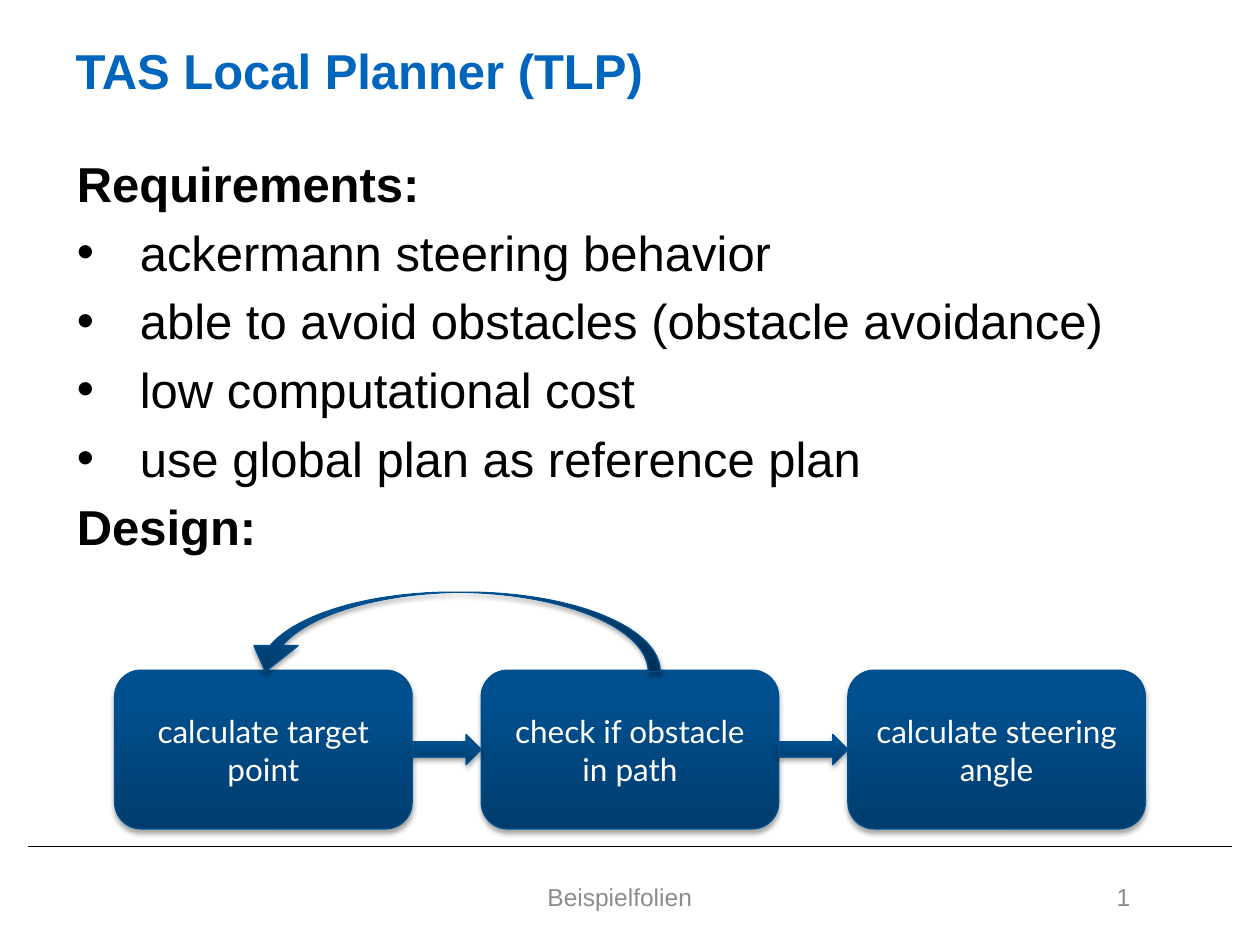
from lxml import etree
from pptx import Presentation
from pptx.dml.color import RGBColor
from pptx.enum import shapes, text
from pptx.oxml import parse_xml
from pptx.oxml.ns import nsdecls, qn
from pptx.util import Pt

GRADIENT = ((0, "003D6E"), (80, "004F8E"), (100, "00508F"))
EDGE = "005090"
STEPS = ("calculate target point", "check if obstacle in path", "calculate steering angle")
REQUIREMENTS = (
    "ackermann steering behavior",
    "able to avoid obstacles (obstacle avoidance)",
    "low computational cost",
    "use global plan as reference plan",
)


def color(hex_code):
    return RGBColor.from_string(hex_code)


def format_text(paragraph, size, hex_code, font="Arial", bold=False, align=text.PP_ALIGN.LEFT):
    paragraph.alignment = align
    for run in paragraph.runs:
        run.font.name, run.font.size, run.font.bold = font, Pt(size), bold
        run.font.color.rgb = color(hex_code)


def place(part, box):
    part.left, part.top, part.width, part.height = (Pt(value) for value in box)


def add_title(slide, box):
    title = slide.shapes.title
    place(title, box)
    frame = title.text_frame
    frame.text = "TAS Local Planner (TLP)"
    frame.auto_size = text.MSO_AUTO_SIZE.NONE
    frame.vertical_anchor = text.MSO_ANCHOR.MIDDLE
    format_text(frame.paragraphs[0], 28, "0065BD", bold=True)


def add_requirements(slide, box):
    body = slide.placeholders[1]
    place(body, box)
    frame = body.text_frame
    frame.text = "\n".join(("Requirements:", *REQUIREMENTS, "Design:"))
    frame.auto_size = text.MSO_AUTO_SIZE.NONE
    for paragraph in frame.paragraphs:
        listed = paragraph.text in REQUIREMENTS
        format_text(paragraph, 28, "000000", bold=not listed)
        indent = Pt(36) if listed else 0
        properties = paragraph._p.get_or_add_pPr()
        properties.set("marL", str(indent))
        properties.set("indent", str(-indent))
        if not listed:
            etree.SubElement(properties, qn("a:buNone"))


def add_block(slide, preset, box):
    """Add a shape with the shared gradient, edge and soft shadow."""
    block = slide.shapes.add_shape(preset, *(Pt(value) for value in box))
    block.line.color.rgb = color(EDGE)
    block.line.width = Pt(0.75)
    stops = "".join(
        f'<a:gs pos="{position * 1000}"><a:srgbClr val="{hex_code}"/></a:gs>'
        for position, hex_code in GRADIENT
    )
    block._element.spPr.find(qn("a:prstGeom")).addnext(parse_xml(
        f'<a:gradFill rotWithShape="0" {nsdecls("a")}><a:gsLst>{stops}</a:gsLst>'
        '<a:lin ang="16200000" scaled="0"/></a:gradFill>'
    ))
    block.shadow.inherit = False
    block._element.spPr.find(qn("a:effectLst")).append(parse_xml(
        f'<a:outerShdw {nsdecls("a")} blurRad="{Pt(3.1)}" dist="{Pt(1.8)}" dir="5400000" '
        'rotWithShape="0"><a:srgbClr val="000000"><a:alpha val="35000"/></a:srgbClr>'
        '</a:outerShdw>'
    ))
    return block


def add_step(slide, box, label):
    step = add_block(slide, shapes.MSO_SHAPE.ROUNDED_RECTANGLE, box)
    frame = step.text_frame
    frame.text = label
    frame.word_wrap = True
    frame.vertical_anchor = text.MSO_ANCHOR.MIDDLE
    format_text(frame.paragraphs[0], 18, "FFFFFF", font="Lato", align=text.PP_ALIGN.CENTER)


def add_design_flow(slide, box):
    left, top, width, height = box
    step_width, arrow_height = 170, 17.3
    gap = (width - len(STEPS) * step_width) / (len(STEPS) - 1)
    lefts = [left + index * (step_width + gap) for index in range(len(STEPS))]

    for step_left, label in zip(lefts, STEPS):
        add_step(slide, (step_left, top, step_width, height), label)

    # Forward arrows fill the gaps
    for step_left in lefts[:-1]:
        add_block(slide, shapes.MSO_SHAPE.RIGHT_ARROW, (
            step_left + step_width, top + (height - arrow_height) / 2, gap, arrow_height))

    # Return arrow from the second step to the first, turned a quarter
    span, rise = 238.3, 45.4
    middle_x, middle_y = 258.1, top + 0.8 - rise / 2
    loop = add_block(slide, shapes.MSO_SHAPE.CURVED_RIGHT_ARROW, (
        middle_x - rise / 2, middle_y - span / 2, rise, span))
    loop.rotation = 90
    for index, value in enumerate((0.15, 0.558, 0.327)):
        loop.adjustments[index] = value


def add_footer_text(slide, box, label, align):
    footer = slide.shapes.add_textbox(*(Pt(value) for value in box))
    frame = footer.text_frame
    frame.text = label
    frame.word_wrap = True
    frame.vertical_anchor = text.MSO_ANCHOR.MIDDLE
    format_text(frame.paragraphs[0], 14, "8C8C8C", align=align)


def add_footer(slide, box):
    left, top, width, height = box
    rule = slide.shapes.add_connector(
        shapes.MSO_CONNECTOR.STRAIGHT, Pt(left), Pt(top), Pt(left + width), Pt(top))
    rule.line.color.rgb = color("000000")
    rule.line.width = Pt(1)
    etree.SubElement(rule._element.spPr, qn("a:effectLst"))

    text_top, text_height = top + 14, height - 14
    add_footer_text(slide, (121.7, text_top, 465, text_height),
                    "Beispielfolien", text.PP_ALIGN.CENTER)
    add_footer_text(slide, (586.7, text_top, 66.3, text_height),
                    "1", text.PP_ALIGN.RIGHT)


def main():
    deck = Presentation()
    deck.slide_width, deck.slide_height = Pt(720), Pt(540)
    slide = deck.slides.add_slide(deck.slide_layouts[1])
    add_footer(slide, (16, 483.8, 688, 43.5))
    add_title(slide, (36, 11.5, 515.5, 57))
    add_requirements(slide, (36.7, 84.2, 646.6, 393.8))
    add_design_flow(slide, (65.5, 383, 589, 90.7))
    deck.save("out.pptx")


if __name__ == "__main__":
    main()
